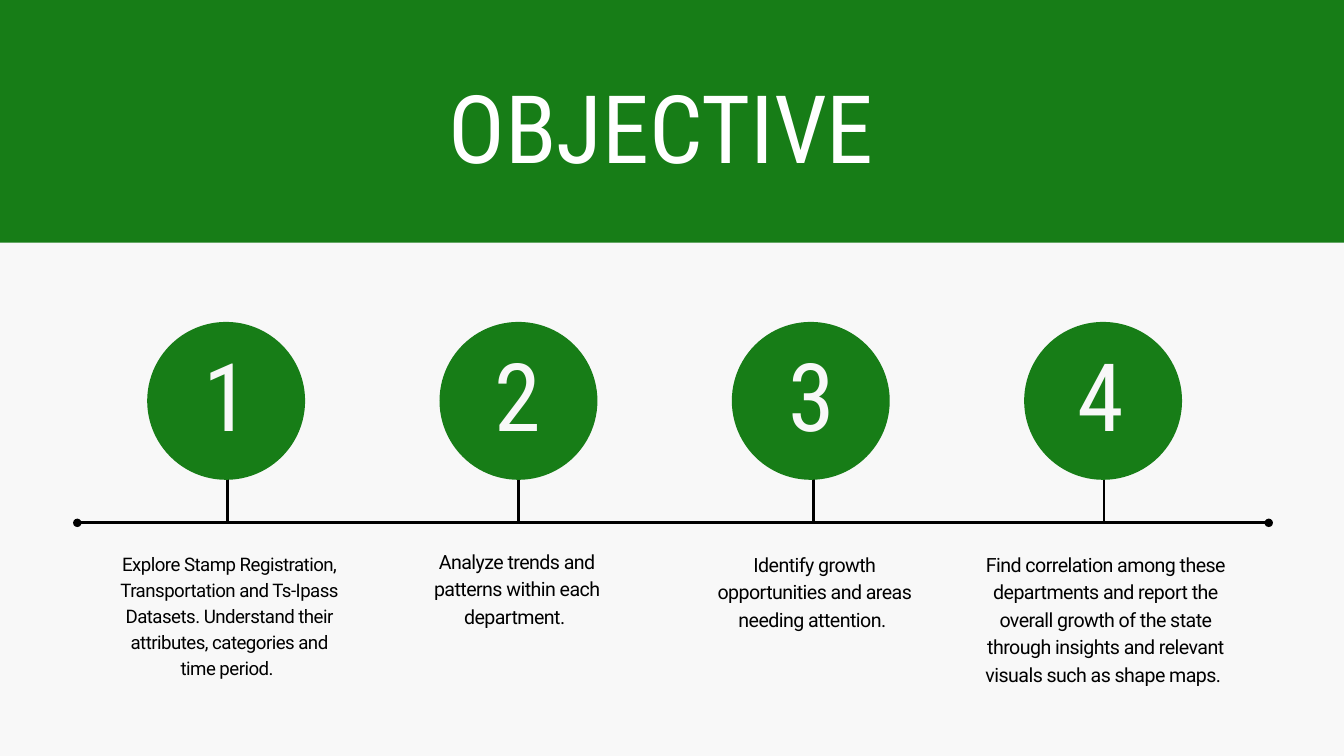
import pptx
import pptx.dml.color
import pptx.enum.shapes
import pptx.enum.text
import pptx.oxml
import pptx.oxml.ns
import pptx.util
from dataclasses import dataclass
from pptx.util import Inches


@dataclass(frozen=True)
class Theme:
    green: str = "177D17"
    paper: str = "F8F8F8"
    white: str = "FFFFFF"
    black: str = "000000"
    heading_font: str = "Roboto Condensed"
    body_font: str = "Roboto"
    title_size: float = 101.2
    number_size: float = 101.1
    first_body_size: float = 20
    body_size: float = 21
    line_width: float = 3


theme = Theme()
shape_types = pptx.enum.shapes.MSO_SHAPE


def write_text(shape, text, *, font, size, color, leading, tracking=0):
    frame = shape.text_frame
    frame.margin_left = frame.margin_top = frame.margin_right = frame.margin_bottom = 0
    frame.word_wrap = True
    frame.auto_size = pptx.enum.text.MSO_AUTO_SIZE.NONE
    frame.vertical_anchor = pptx.enum.text.MSO_ANCHOR.TOP
    paragraph = frame.paragraphs[0]
    paragraph.alignment = pptx.enum.text.PP_ALIGN.CENTER
    paragraph.line_spacing = pptx.util.Pt(round(size * leading, 1))
    paragraph.space_before = pptx.util.Pt(0)
    run = paragraph.add_run()
    run.text = text
    run.font.name = font
    run.font.size = pptx.util.Pt(size)
    run.font.color.rgb = pptx.dml.color.RGBColor.from_string(color)
    if tracking:
        run.font._element.set("spc", str(round(tracking * 100)))


def add_line(slide, left, top, right, bottom):
    line = slide.shapes.add_connector(
        pptx.enum.shapes.MSO_CONNECTOR.STRAIGHT,
        Inches(left), Inches(top), Inches(right), Inches(bottom),
    )
    line.line.color.rgb = pptx.dml.color.RGBColor.from_string(theme.black)
    line.line.width = pptx.util.Pt(theme.line_width)
    properties = line.element.spPr
    properties.append(pptx.oxml.parse_xml(f'<a:effectLst {pptx.oxml.ns.nsdecls("a")}/>'))
    return line


presentation = pptx.Presentation()
presentation.slide_width = Inches(20)
presentation.slide_height = Inches(11.25)
slide = presentation.slides.add_slide(presentation.slide_layouts[5])
slide.background.fill.solid()
slide.background.fill.fore_color.rgb = pptx.dml.color.RGBColor.from_string(theme.paper)

steps = [
    (3.39, 2.24, (1.79, 8.17, 3.24, 3.08), theme.first_body_size,
     "Explore Stamp Registration, Transportation and Ts-Ipass Datasets. "
     "Understand their attributes, categories and time period. "),
    (7.71, 6.58, (6.07, 8.12, 3.24, 1.62), theme.body_size,
     "Analyze trends and patterns within each department. "),
    (12.1, 10.95, (10.5, 8.17, 3.24, 1.62), theme.body_size,
     "Identify growth opportunities and areas needing attention. "),
    (16.43, 15.25, (14.43, 8.17, 4.04, 2.84), theme.body_size,
     "Find correlation among these departments and report the overall growth "
     "of the state through insights and relevant visuals such as shape maps. "),
]

band = slide.shapes.add_shape(shape_types.RECTANGLE, 0, 0, Inches(20), Inches(3.61))

for stem, *_ in steps:
    add_line(slide, stem, 6.82, stem, 7.8)

timeline = add_line(slide, 1.15, 7.78, 18.88, 7.78)
outline = timeline.line._get_or_add_ln()
for end in ("headEnd", "tailEnd"):
    outline.append(pptx.oxml.parse_xml(f'<a:{end} {pptx.oxml.ns.nsdecls("a")} type="oval"/>'))

circles = [
    slide.shapes.add_shape(
        shape_types.OVAL, Inches(2.19 + 4.35 * index), Inches(4.79), Inches(2.35), Inches(2.35)
    )
    for index in range(len(steps))
]

for shape in [band, *circles]:
    shape.shadow.inherit = False
    shape.fill.solid()
    shape.fill.fore_color.rgb = pptx.dml.color.RGBColor.from_string(theme.green)
    shape.line.fill.background()

title = slide.shapes.title
title.left, title.top, title.width, title.height = map(Inches, (3.55, 1.17, 12.9, 1.58))
circles[-1].element.addnext(title.element)
write_text(title, "OBJECTIVE ", font=theme.heading_font, size=theme.title_size,
           color=theme.white, leading=1.1)

for number, (_, number_left, box, size, text) in enumerate(steps, start=1):
    description = slide.shapes.add_textbox(*map(Inches, box))
    write_text(description, text, font=theme.body_font, size=size,
               color=theme.black, leading=1.4, tracking=-0.6)
    label = slide.shapes.add_textbox(*map(Inches, (number_left, 5.16, 2.26, 1.58)))
    write_text(label, str(number), font=theme.heading_font, size=theme.number_size,
               color=theme.paper, leading=1.1)

presentation.save("out.pptx")
